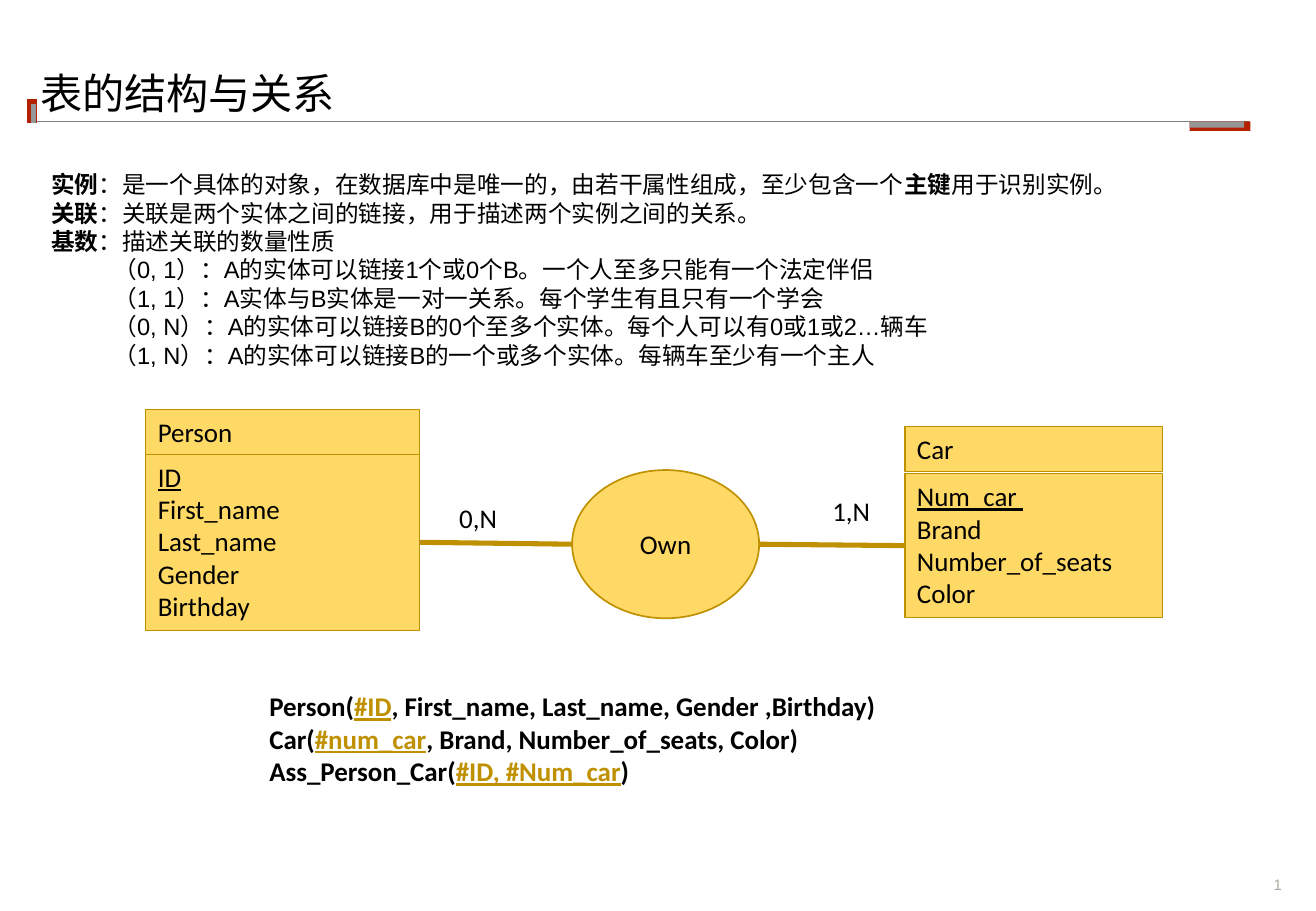
from dataclasses import dataclass

from lxml.etree import SubElement
from pptx import Presentation
from pptx.dml.color import RGBColor
from pptx.enum.shapes import MSO_CONNECTOR as Connector, MSO_SHAPE as Preset
from pptx.enum.text import MSO_ANCHOR as Anchor, MSO_AUTO_SIZE as AutoSize, PP_ALIGN as Align
from pptx.oxml.ns import qn
from pptx.util import Cm, Pt


@dataclass(frozen=True)
class Theme:
    """Colours, fonts and type sizes of the slide."""
    ink: str = "000000"
    amber: str = "FFD966"
    ochre: str = "BF9000"
    red: str = "B42100"
    grey: str = "969696"
    rule: str = "808080"
    faint: str = "ADABA1"
    title_font: str = "TeX Gyre Pagella"
    text_font: str = "Arial"
    model_font: str = "Calibri"
    title_size: float = 25
    model_size: float = 16
    text_size: float = 14
    number_size: float = 9


@dataclass(frozen=True)
class Box:
    """A rectangle in centimetres."""
    left: float
    top: float
    width: float
    height: float

    @property
    def right(self):
        """Return the right edge."""
        return self.left + self.width

    @property
    def middle(self):
        """Return the height of the horizontal centre line."""
        return self.top + self.height / 2

    def lengths(self):
        """Return position and size as slide lengths."""
        return [Cm(v) for v in (self.left, self.top, self.width, self.height)]


THEME = Theme()
BOLD = {"bold": True}
KEY = {"underline": True}
SCHEMA_KEY = {"underline": True, "color": THEME.ochre}

DEFINITIONS = [
    [("实例", BOLD), "：是一个具体的对象，在数据库中是唯一的，由若干属性组成，至少包含一个",
     ("主键", BOLD), "用于识别实例。"],
    [("关联", BOLD), "：关联是两个实体之间的链接，用于描述两个实例之间的关系。"],
    [("基数", BOLD), "：描述关联的数量性质"],
]
CARDINALITIES = [
    ["（0, 1）：A的实体可以链接1个或0个B。一个人至多只能有一个法定伴侣"],
    ["（1, 1）：A实体与B实体是一对一关系。每个学生有且只有一个学会"],
    ["（0, N）：A的实体可以链接B的0个至多个实体。每个人可以有0或1或2…辆车"],
    ["（1, N）：A的实体可以链接B的一个或多个实体。每辆车至少有一个主人"],
]
SCHEMA = [
    ["Person(", ("#ID", SCHEMA_KEY), ", First_name, Last_name, Gender ,Birthday)"],
    ["Car(", ("#num_car", SCHEMA_KEY), ", Brand, Number_of_seats, Color)"],
    ["Ass_Person_Car(", ("#ID, #Num_car", SCHEMA_KEY), ")"],
]


def write(frame, lines, font=THEME.model_font, size=THEME.model_size, color=THEME.ink,
          bold=False, align=Align.LEFT, anchor=Anchor.TOP, spacing=1.0, inset=None,
          indents=None, wrap=True):
    """Fill a text frame with lines of runs, each a string or a (string, format) pair."""
    frame.word_wrap = wrap
    frame.auto_size = AutoSize.NONE
    frame.vertical_anchor = anchor
    if inset is not None:
        frame.margin_left = frame.margin_right = Cm(inset)
        frame.margin_top = frame.margin_bottom = Cm(inset)
    for i, line in enumerate(lines):
        paragraph = frame.add_paragraph() if i else frame.paragraphs[0]
        paragraph.alignment = align
        paragraph.line_spacing = spacing
        paragraph.space_before = paragraph.space_after = Pt(0)
        if indents:
            properties = paragraph._p.get_or_add_pPr()
            properties.set("marL", str(Cm(indents[i])))
            properties.set("indent", "0")
            SubElement(properties, qn("a:buNone"))
        for part in line:
            words, style = (part, {}) if isinstance(part, str) else part
            run = paragraph.add_run()
            run.text = words
            run.font.name = font
            run.font.size = Pt(size)
            run.font.bold = style.get("bold", bold)
            run.font.underline = style.get("underline", False)
            run.font.color.rgb = RGBColor.from_string(style.get("color", color))


def add_label(slide, box, lines, **text_format):
    """Add a text box and return its text frame."""
    frame = slide.shapes.add_textbox(*box.lengths()).text_frame
    write(frame, lines, **text_format)
    return frame


def add_panel(slide, box, fill, outline=None, width=0.75, preset=Preset.RECTANGLE):
    """Add a flat filled shape."""
    panel = slide.shapes.add_shape(preset, *box.lengths())
    panel.shadow.inherit = False
    panel.fill.solid()
    panel.fill.fore_color.rgb = RGBColor.from_string(fill)
    if outline:
        panel.line.color.rgb = RGBColor.from_string(outline)
        panel.line.width = Pt(width)
    else:
        panel.line.fill.background()
    return panel


def add_line(slide, start, end, color, width):
    """Add a straight line between two points in centimetres."""
    line = slide.shapes.add_connector(Connector.STRAIGHT, *[Cm(v) for v in (*start, *end)])
    line.line.color.rgb = RGBColor.from_string(color)
    line.line.width = Pt(width)
    SubElement(line._element.spPr, qn("a:effectLst"))


def add_frame(slide, box):
    """Draw the title rule with its corner marks along the bottom of the box."""
    base = box.top + box.height
    add_line(slide, (box.left + 0.1, base), (box.right, base), THEME.rule, 1)
    add_line(slide, (box.left, base + 0.03), (box.left, box.top), THEME.red, 6)
    add_line(slide, (box.left + 0.05, base + 0.03), (box.left + 0.05, box.top + 0.12),
             THEME.grey, 3)
    mark = box.right - 1.24
    add_panel(slide, Box(mark, base, 1.27, 0.2), THEME.red)
    add_panel(slide, Box(mark, base, 1.14, 0.13), THEME.grey)


def add_page_number(slide, box):
    """Add the slide number field."""
    frame = add_label(slide, box, [["1"]], font=THEME.text_font, size=THEME.number_size,
                      color=THEME.faint, align=Align.RIGHT, anchor=Anchor.BOTTOM,
                      inset=0, wrap=False)
    number = frame.paragraphs[0].runs[0]._r
    number.tag = qn("a:fld")
    number.set("id", "{B6F15528-21DE-4FAA-801E-634DDDAF4B2B}")
    number.set("type", "slidenum")


def fill_placeholder(placeholder, box, lines, **text_format):
    """Move a placeholder into the box and write its text."""
    placeholder.left, placeholder.top, placeholder.width, placeholder.height = box.lengths()
    write(placeholder.text_frame, lines, inset=0, **text_format)


def add_entity(slide, box, name, key, attributes, gap=0.0):
    """Draw an entity as a name bar over its attributes and return the attribute box."""
    bar = Box(box.left, box.top, box.width, 0.94)
    offset = bar.height + gap
    body = Box(box.left, box.top + offset, box.width, box.height - offset)
    rows = [[(key, KEY)]] + [[attribute] for attribute in attributes]
    for part, lines in ((bar, [[name]]), (body, rows)):
        write(add_panel(slide, part, THEME.amber, THEME.ochre).text_frame, lines)
    return body


def add_model(slide, box):
    """Draw the two entities, their association and the cardinalities."""
    person = add_entity(slide, Box(box.left, box.top, 5.72, box.height), "Person", "ID",
                        ["First_name", "Last_name", "Gender", "Birthday"])
    car = add_entity(slide, Box(box.right - 5.38, box.top + 0.36, 5.38, 3.99), "Car",
                     "Num_car ", ["Brand", "Number_of_seats", "Color"], gap=0.05)
    own = Box(box.left + 8.91, box.top + 1.27, 3.91, 3.1)
    ellipse = add_panel(slide, own, THEME.amber, THEME.ochre, 1, Preset.OVAL)
    write(ellipse.text_frame, [["Own"]], align=Align.CENTER, anchor=Anchor.MIDDLE)
    for source, target in ((person, own), (own, car)):
        add_line(slide, (source.right, source.middle), (target.left, target.middle),
                 THEME.ochre, 3)
    for cardinality, left, top in (("0,N", 6.3, 1.8), ("1,N", 14.1, 1.65)):
        add_label(slide, Box(box.left + left, box.top + top, 1.57, 0.94), [[cardinality]])


def main():
    """Build and save the slide."""
    deck = Presentation()
    deck.slide_width, deck.slide_height = Cm(27.51), Cm(19.05)
    slide = deck.slides.add_slide(deck.slide_layouts[1])
    title, definitions = slide.placeholders
    add_frame(slide, Box(0.66, 2.06, 25.45, 0.48))
    fill_placeholder(title, Box(0.84, 1.52, 26.04, 1.7), [["表的结构与关系"]],
                     font=THEME.title_font, size=THEME.title_size, spacing=0.9)
    fill_placeholder(definitions, Box(1.07, 3.56, 23.9, 4.19), DEFINITIONS + CARDINALITIES,
                     font=THEME.text_font, size=THEME.text_size,
                     indents=[0] * len(DEFINITIONS) + [1.3] * len(CARDINALITIES))
    add_model(slide, Box(3.05, 8.56, 21.25, 4.62))
    add_label(slide, Box(5.38, 14.3, 15.24, 2.31), SCHEMA, bold=True)
    add_page_number(slide, Box(26.01, 18.31, 0.79, 0.38))
    deck.save("out.pptx")


if __name__ == "__main__":
    main()
